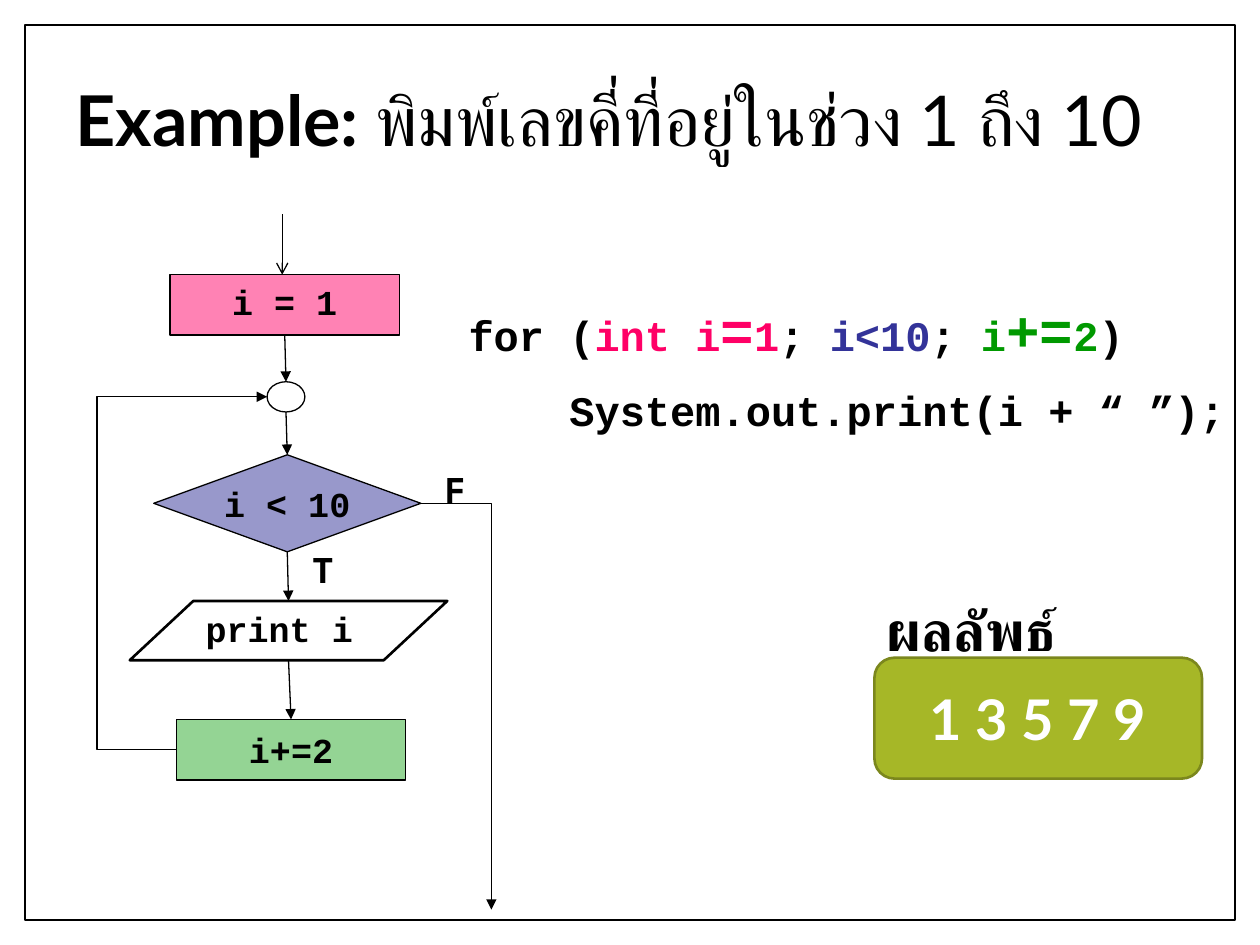
from lxml import etree
from pptx import Presentation
from pptx.dml.color import RGBColor
from pptx.enum.shapes import MSO_CONNECTOR, MSO_SHAPE
from pptx.enum.text import MSO_ANCHOR, PP_ALIGN
from pptx.oxml.ns import qn
from pptx.util import Inches, Pt

STRAIGHT, ELBOW = MSO_CONNECTOR.STRAIGHT, MSO_CONNECTOR.ELBOW
TOP, MIDDLE = MSO_ANCHOR.TOP, MSO_ANCHOR.MIDDLE
LEFT, CENTER = PP_ALIGN.LEFT, PP_ALIGN.CENTER
PROCESS = MSO_SHAPE.FLOWCHART_PROCESS
JOIN = MSO_SHAPE.FLOWCHART_CONNECTOR
DECISION = MSO_SHAPE.FLOWCHART_DECISION
OUTPUT = MSO_SHAPE.FLOWCHART_DATA

BLACK = RGBColor(0x00, 0x00, 0x00)
WHITE = RGBColor(0xFF, 0xFF, 0xFF)
PINK = RGBColor(0xFF, 0x00, 0x66)
INDIGO = RGBColor(0x33, 0x33, 0x99)
GREEN = RGBColor(0x00, 0x99, 0x00)
OLIVE = RGBColor(0xA6, 0xB7, 0x27)
DARK_OLIVE = RGBColor(0x7B, 0x87, 0x1D)
HEADING, CODE, LABEL = "Lato", "Courier New", "Noto Sans Mono"

TITLE = [("Example: ", True), ("พิมพ์เลขคี่ที่อยู่ในช่วง 1 ถึง 10", False)]
WIDE_INSETS, TIGHT_INSETS = (0.1, 0.05), (0.02, 0.01)
STEPS = [
    ("i = 1", PROCESS, (1.35, 2.18, 1.82, 0.48), PINK, 49, 0.75, TOP, CENTER, WIDE_INSETS),
    ("", JOIN, (2.12, 3.03, 0.3, 0.24), WHITE, 100, 0.75, MIDDLE, CENTER, TIGHT_INSETS),
    ("i < 10", DECISION, (1.22, 3.61, 2.12, 0.77), INDIGO, 50, 0.75, MIDDLE, CENTER, TIGHT_INSETS),
    ("print i", OUTPUT, (1.03, 4.77, 2.52, 0.47), WHITE, 100, 1.5, TOP, LEFT, WIDE_INSETS),
    ("i+=2", PROCESS, (1.4, 5.71, 1.82, 0.48), GREEN, 42, 0.75, MIDDLE, CENTER, TIGHT_INSETS),
]
LABELS = [
    ("T", (2.38, 4.3, 0.91, 0.72), LABEL, 20),
    ("F", (3.43, 3.67, 0.44, 0.44), LABEL, 20),
    ("ผลลัพธ์", (6.94, 4.68, 1.73, 0.64), HEADING, 32),
]
LOOP_CODE = [
    [("for (", BLACK, 24), ("int i", PINK, 24), ("=", PINK, 32), ("1", PINK, 24),
     ("; ", BLACK, 24), ("i<10", INDIGO, 24), ("; ", BLACK, 24),
     ("i", GREEN, 24), ("+=", GREEN, 32), ("2", GREEN, 24), (")", BLACK, 24)],
    [("   System.out.print(i + “ ”);", BLACK, 24)],
]
LOOP_LEFT, EXIT_RIGHT, EXIT_BOTTOM = 0.77, 3.9, 7.22


def style(run, font, size, color, bold=True):
    run.font.name, run.font.size, run.font.bold = font, Pt(size), bold
    run.font.color.rgb = color


def add_box(kind, box, fill, line, width):
    shape = slide.shapes.add_shape(kind, *map(Inches, box))
    shape.shadow.inherit = False
    if fill is None:
        shape.fill.background()
    else:
        shape.fill.solid()
        shape.fill.fore_color.rgb = fill
    shape.line.color.rgb = line
    shape.line.width = Pt(width)
    return shape


def write(frame, text, font, size, color, align):
    frame.text = text
    frame.paragraphs[0].alignment = align
    for run in frame.paragraphs[0].runs:
        style(run, font, size, color)


def add_arrow(kind, start, end, head="triangle"):
    arrow = slide.shapes.add_connector(kind, *map(Inches, start + end))
    arrow.line.color.rgb = BLACK
    arrow.line.width = Pt(0.75)
    etree.SubElement(arrow.line._get_or_add_ln(), qn("a:tailEnd"), type=head)
    etree.SubElement(arrow._element.spPr, qn("a:effectLst"))
    return arrow._element.spPr.find(qn("a:prstGeom"))


def top(box):
    return box[0] + box[2] / 2, box[1]


def bottom(box):
    return box[0] + box[2] / 2, box[1] + box[3]


def left(box):
    return box[0], box[1] + box[3] / 2


def right(box):
    return box[0] + box[2], box[1] + box[3] / 2


prs = Presentation()
prs.slide_width, prs.slide_height = Inches(10), Inches(7.5)
slide = prs.slides.add_slide(prs.slide_layouts[5])

add_box(MSO_SHAPE.RECTANGLE, (0.2, 0.2, 9.6, 7.1), None, BLACK, 1)

title = slide.shapes.title
title.left, title.top, title.width, title.height = map(Inches, (0.5, 0.44, 9, 1.08))
title.text_frame.vertical_anchor = MIDDLE
heading = title.text_frame.paragraphs[0]
heading.alignment, heading.line_spacing = LEFT, 0.9
for text, bold in TITLE:
    run = heading.add_run()
    run.text = text
    style(run, HEADING, 40, BLACK, bold)

for text, box, font, size in LABELS:
    label = slide.shapes.add_textbox(*map(Inches, box)).text_frame
    label.word_wrap = True
    write(label, text, font, size, BLACK, LEFT)

for text, kind, box, fill, opacity, width, anchor, align, (side, edge) in STEPS:
    step = add_box(kind, box, fill, BLACK, width)
    if opacity < 100:
        color = step.fill._xPr.find(qn("a:solidFill"))[0]
        etree.SubElement(color, qn("a:alpha"), val=str(opacity * 1000))
    if text:
        frame = step.text_frame
        frame.vertical_anchor = anchor
        frame.margin_left = frame.margin_right = Inches(side)
        frame.margin_top = frame.margin_bottom = Inches(edge)
        write(frame, text, CODE, 20, BLACK, align)

boxes = [step[2] for step in STEPS]
start, join, decision, output, increment = boxes
add_arrow(STRAIGHT, (2.24, 1.7), (2.24, start[1]), "arrow")
for upper, lower in zip(boxes, boxes[1:]):
    add_arrow(STRAIGHT, bottom(upper), top(lower))

loop_start, loop_end = left(increment), left(join)
loop_back = add_arrow(ELBOW, loop_start, loop_end)
bend = (LOOP_LEFT - loop_start[0]) / (loop_end[0] - loop_start[0])
etree.SubElement(loop_back.get_or_add_avLst(), qn("a:gd"),
                 name="adj1", fmla=f"val {round(bend * 100000)}")
loop_exit = add_arrow(ELBOW, right(decision), (EXIT_RIGHT, EXIT_BOTTOM))
loop_exit.set("prst", "bentConnector2")

code = slide.shapes.add_textbox(*map(Inches, (3.62, 2.19, 6.29, 1.33))).text_frame
code.word_wrap = True
for index, line in enumerate(LOOP_CODE):
    paragraph = code.add_paragraph() if index else code.paragraphs[0]
    paragraph.line_spacing = 1.2
    if index:
        paragraph.space_before = Pt(6.4)
        paragraph._p.get_or_add_pPr().set("marL", str(Inches(0.2)))
    for text, color, size in line:
        run = paragraph.add_run()
        run.text = text
        style(run, CODE, size, color)

result = add_box(MSO_SHAPE.ROUNDED_RECTANGLE, (6.94, 5.22, 2.6, 0.96), OLIVE, DARK_OLIVE, 1.5)
result.text_frame.vertical_anchor = MIDDLE
write(result.text_frame, "1 3 5 7 9", HEADING, 32, WHITE, CENTER)

prs.save("out.pptx")
